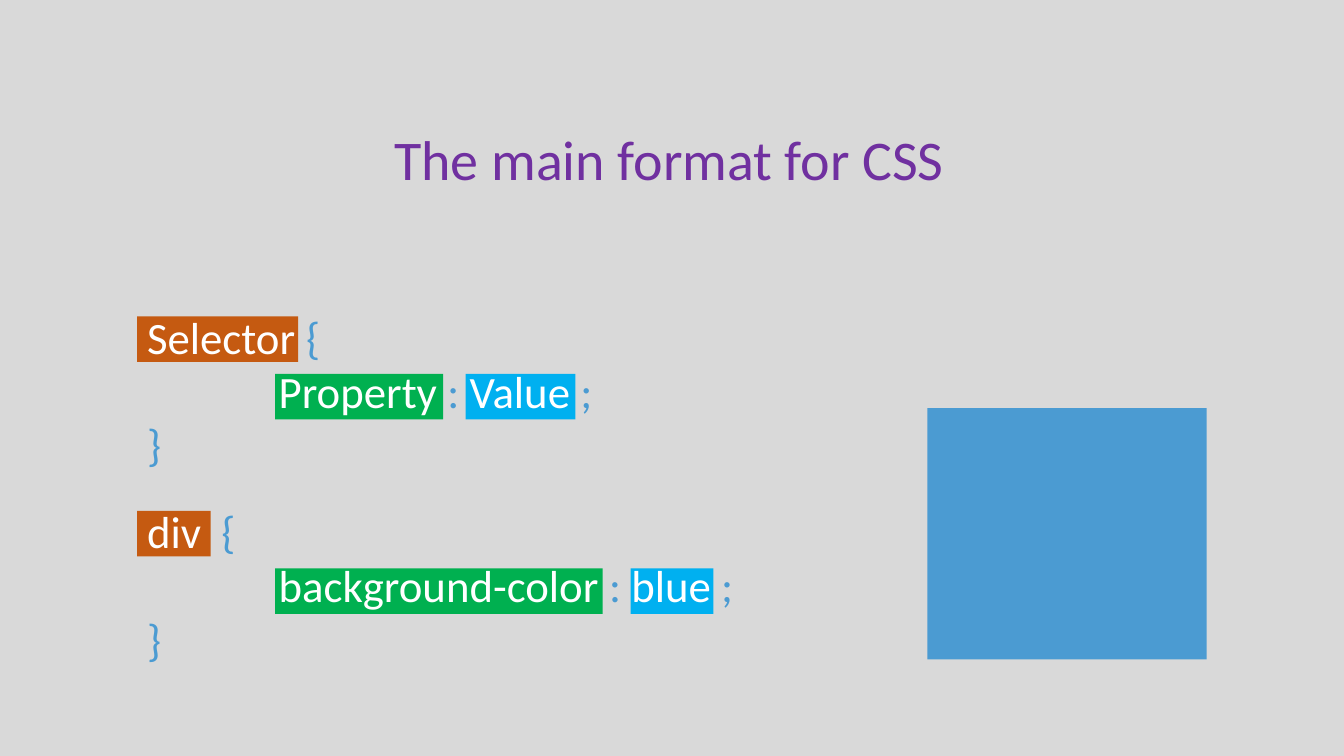
from dataclasses import dataclass

from lxml import etree
from pptx import Presentation
from pptx.dml.color import RGBColor
from pptx.enum.shapes import MSO_SHAPE
from pptx.enum.text import MSO_ANCHOR, MSO_AUTO_SIZE, PP_ALIGN
from pptx.oxml.ns import qn
from pptx.util import Pt

RECTANGLE = MSO_SHAPE.RECTANGLE
TOP = MSO_ANCHOR.TOP
NO_AUTOFIT = MSO_AUTO_SIZE.NONE
LEFT = PP_ALIGN.LEFT
TITLE_ONLY = 5


@dataclass(frozen=True)
class Theme:
    font: str = "Calibri"
    title_size: int = 40
    code_size: int = 32
    background: str = "D9D9D9"
    title: str = "7030A0"
    term: str = "FFFFFF"
    punctuation: str = "4B9BD2"
    selector: str = "C55A11"
    property: str = "00B050"
    value: str = "00B0F0"
    sample: str = "4B9BD2"


THEME = Theme()
RULE_LEFT = 98
RULE_TOP = 217.5
RULE_PITCH = 139
RULE_SIZE = (480, 125)
DECLARATION_INDENT = 94
PROPERTY_LEFT = 196.5
HIGHLIGHT_HEIGHT = 32.5
SELECTOR_OFFSET = 8.5
DECLARATION_OFFSET = 49.5


@dataclass(frozen=True)
class Rule:
    selector: str
    property: str
    colon: str
    value: str
    semicolon: str
    brace_tab: float
    selector_width: float
    property_width: float
    value_left: float
    value_width: float


RULES = (
    Rule("Selector", "Property", " : ", "Value", " ;", 113.5, 115, 120, 332.5, 78.5),
    Rule("div", "background-color", " : ", "blue", " ;", 53, 52.5, 234, 450.5, 59),
)


def style_run(run, size, color):
    run.font.name = THEME.font
    run.font.size = Pt(size)
    run.font.color.rgb = RGBColor.from_string(color)


def add_title(slide, wording):
    title = slide.shapes.title
    title.left, title.top, title.width, title.height = Pt(274.5), Pt(85.5), Pt(411), Pt(55.5)
    frame = title.text_frame
    frame.text = wording
    frame.word_wrap = False
    frame.auto_size = NO_AUTOFIT
    frame.vertical_anchor = TOP
    frame.paragraphs[0].alignment = LEFT
    style_run(frame.paragraphs[0].runs[0], THEME.title_size, THEME.title)


def add_block(slide, left, top, width, height, color):
    block = slide.shapes.add_shape(RECTANGLE, Pt(left), Pt(top), Pt(width), Pt(height))
    block.shadow.inherit = False
    block.fill.solid()
    block.fill.fore_color.rgb = RGBColor.from_string(color)
    block.line.fill.background()


def add_code(paragraph, pieces):
    for wording, color in pieces:
        run = paragraph.add_run()
        run.text = wording
        style_run(run, THEME.code_size, color)


def set_tab(paragraph, position):
    stops = etree.SubElement(paragraph._p.get_or_add_pPr(), qn("a:tabLst"))
    etree.SubElement(stops, qn("a:tab"), pos=str(Pt(position)), algn="l")


def set_indent(paragraph, indent):
    properties = paragraph._p.get_or_add_pPr()
    properties.set("marL", str(Pt(indent)))
    properties.set("indent", "0")


def add_rule(slide, rule, top):
    declaration_top = top + DECLARATION_OFFSET
    highlights = (
        (RULE_LEFT, top + SELECTOR_OFFSET, rule.selector_width, THEME.selector),
        (PROPERTY_LEFT, declaration_top, rule.property_width, THEME.property),
        (rule.value_left, declaration_top, rule.value_width, THEME.value),
    )
    for left, highlight_top, width, color in highlights:
        add_block(slide, left, highlight_top, width, HIGHLIGHT_HEIGHT, color)

    code = slide.shapes.add_textbox(
        Pt(RULE_LEFT), Pt(top), *(Pt(length) for length in RULE_SIZE)
    )
    frame = code.text_frame
    frame.word_wrap = True
    opening = frame.paragraphs[0]
    declaration = frame.add_paragraph()
    closing = frame.add_paragraph()
    set_tab(opening, rule.brace_tab)
    set_indent(declaration, DECLARATION_INDENT)
    add_code(opening, ((rule.selector, THEME.term), ("\t{", THEME.punctuation)))
    add_code(declaration, (
        (rule.property, THEME.term),
        (rule.colon, THEME.punctuation),
        (rule.value, THEME.term),
        (rule.semicolon, THEME.punctuation),
    ))
    add_code(closing, (("}", THEME.punctuation),))


def main():
    deck = Presentation()
    deck.slide_width, deck.slide_height = Pt(960), Pt(540)
    slide = deck.slides.add_slide(deck.slide_layouts[TITLE_ONLY])
    slide.background.fill.solid()
    slide.background.fill.fore_color.rgb = RGBColor.from_string(THEME.background)

    add_title(slide, "The main format for CSS")
    for position, rule in enumerate(RULES):
        add_rule(slide, rule, RULE_TOP + position * RULE_PITCH)
    add_block(slide, 662.5, 291.5, 199.5, 179.5, THEME.sample)

    deck.save("out.pptx")


if __name__ == "__main__":
    main()
